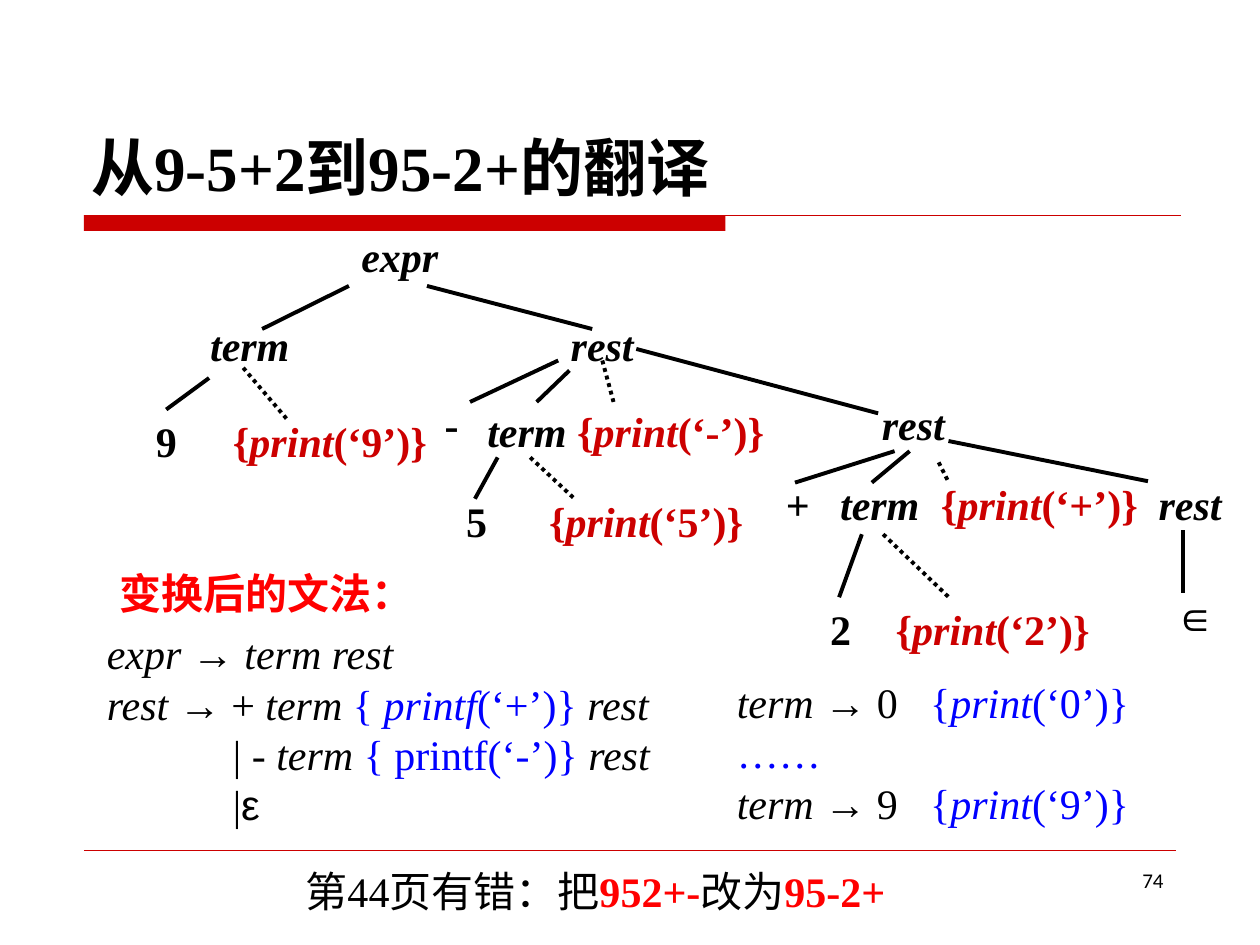
from lxml import etree
from pptx import Presentation
from pptx.dml.color import RGBColor
from pptx.enum.dml import MSO_LINE
from pptx.enum.shapes import MSO_CONNECTOR, MSO_SHAPE
from pptx.enum.text import MSO_ANCHOR, MSO_AUTO_SIZE, PP_ALIGN
from pptx.oxml.ns import qn
from pptx.util import Pt

LEFT, CENTER, RIGHT = PP_ALIGN.LEFT, PP_ALIGN.CENTER, PP_ALIGN.RIGHT
TOP, BOTTOM = MSO_ANCHOR.TOP, MSO_ANCHOR.BOTTOM
STRAIGHT, RECTANGLE = MSO_CONNECTOR.STRAIGHT, MSO_SHAPE.RECTANGLE
DOTTED = MSO_LINE.ROUND_DOT
SERIF, SANS, CJK = "Times New Roman", "Arial", "Noto Sans CJK SC"
BLACK, DARK_RED, RED, BLUE = "000000", "CC0000", "FF0000", "0000FF"

# Content: a run is (text, colour, italic[, font])
ARROW = ("→", BLACK, False, SANS)


def plain(text, color=BLACK):
    return (text, color, False)


def italic(text, color=BLACK):
    return (text, color, True)


def action(symbol, color=DARK_RED, name="print"):
    return [plain("{", color), italic(name, color), plain(f"(‘{symbol}’)}}", color)]


def digit_rule(digit):
    return [italic("term "), ARROW, plain(f" {digit}\t")] + action(digit, BLUE)


TITLE = "从9-5+2到95-2+的翻译"
PAGE = "74"
HEADING = [plain("变换后的文法：", RED)]

# Tree nodes: left, top, runs
NODES = [
    (199.4, 128.2, [italic("expr")]),
    (113, 179.3, [italic("term")]),
    (319, 179.3, [italic("rest")]),
    (82, 234, [plain("9")]),
    (126, 234, action("9")),
    (247, 224, [plain("-")]),
    (271.4, 228.2, [italic("term ")] + action("-")),
    (496.8, 224, [italic("rest")]),
    (259.2, 279.4, [plain("5")]),
    (306.7, 279.4, action("5")),
    (442, 270, [plain("+")]),
    (473, 270, [italic("term")]),
    (530.6, 270, action("+")),
    (655, 270, [italic("rest")]),
    (467.3, 341.3, [plain("2")]),
    (504.7, 341.3, action("2")),
    (664, 333.4, [("∈", BLACK, False, SANS)]),
]

# Tree edges: x1, y1, x2, y2
BRANCHES = [
    (199.4, 163.4, 149.8, 188), (244, 163.4, 338.4, 188),
    (119.5, 216, 95, 234), (319, 206, 268.6, 229.7),
    (325.4, 211.7, 306.7, 229.7), (363.6, 199.4, 501.8, 236.2),
    (284.4, 261.4, 271.4, 285), (511.2, 257.8, 454.3, 275.8),
    (519.8, 257.8, 498.2, 275.8), (542, 252, 656, 275),
    (492.5, 305.3, 479.5, 341.3), (676, 303, 676, 339),
]
ACTION_BRANCHES = [
    (139, 210.2, 164.2, 239.8), (344.2, 206, 350.6, 229.7),
    (303, 261.4, 328.3, 285), (536.4, 264.2, 542.2, 275.8),
    (504.7, 305.3, 542.2, 341.3),
]

GRAMMAR = [
    [italic("expr "), ARROW, italic(" term rest")],
    [italic("rest "), ARROW, plain(" + "), italic("term "), plain("{ ", BLUE),
     italic("printf", BLUE), plain("(‘+’)} ", BLUE), italic("rest")],
    [plain("\t| - "), italic("term "), plain("{ printf(‘-’)} ", BLUE), italic("rest")],
    [plain("\t|"), ("ε", BLACK, False, SANS)],
]
DIGIT_RULES = [digit_rule(0), [plain("……", BLUE)], digit_rule(9)]


def rgb(value):
    return RGBColor.from_string(value)


def add_text(slide, box, paragraphs, size=24, font=SERIF, bold=False,
             align=LEFT, anchor=TOP, wrap=True, tab=None):
    frame = slide.shapes.add_textbox(*map(Pt, box)).text_frame
    frame.word_wrap = wrap
    frame.vertical_anchor = anchor
    for index, runs in enumerate(paragraphs):
        paragraph = frame.paragraphs[0] if index == 0 else frame.add_paragraph()
        paragraph.alignment = align
        if tab:
            stops = etree.SubElement(paragraph._p.get_or_add_pPr(), qn("a:tabLst"))
            etree.SubElement(stops, qn("a:tab"), pos=str(Pt(tab)), algn="l")
        paragraph.font.size = Pt(size)
        paragraph.font.name = font
        paragraph.font.bold = bold
        for text, color, slanted, *own_font in runs:
            run = paragraph.add_run()
            run.text = text
            run.font.color.rgb = rgb(color)
            run.font.italic = slanted
            if own_font:
                run.font.name = own_font[0]
    return frame


def add_line(slide, ends, color=BLACK, width=2.25, dash=None):
    line = slide.shapes.add_connector(STRAIGHT, *map(Pt, ends))
    line.line.color.rgb = rgb(color)
    line.line.width = Pt(width)
    if dash:
        line.line.dash_style = dash
    etree.SubElement(line._element.spPr, qn("a:effectLst"))


def main():
    deck = Presentation()
    deck.slide_width, deck.slide_height = Pt(720), Pt(540)
    slide = deck.slides.add_slide(deck.slide_layouts[5])

    # Title with its rule, and the footer rule
    title = slide.shapes.title
    title.left, title.top, title.width, title.height = map(Pt, (45, 24, 630, 96))
    title.text_frame.text = TITLE
    title.text_frame.vertical_anchor = BOTTOM
    title.text_frame.auto_size = MSO_AUTO_SIZE.NONE
    heading = title.text_frame.paragraphs[0]
    heading.alignment = LEFT
    heading.font.size = Pt(36)
    heading.font.name = SERIF
    heading.font.bold = True
    heading.font.color.rgb = rgb(BLACK)

    band = slide.shapes.add_shape(RECTANGLE, Pt(48), Pt(123), Pt(366.5), Pt(9))
    band.shadow.inherit = False
    band.fill.solid()
    band.fill.fore_color.rgb = rgb(DARK_RED)
    band.line.fill.background()
    add_line(slide, (48, 123, 675, 123), DARK_RED, 0.75)
    add_line(slide, (48, 486, 672, 486), DARK_RED, 0.25)

    # Parse tree
    for left, top, runs in NODES:
        add_text(slide, (left, top, 182, 36), [runs], bold=True, wrap=False)
    for ends in BRANCHES:
        add_line(slide, ends)
    for ends in ACTION_BRANCHES:
        add_line(slide, ends, dash=DOTTED)

    # Transformed grammar
    add_text(slide, (49, 321, 182, 36), [HEADING], font=CJK, bold=True,
             align=CENTER, wrap=False)
    add_text(slide, (54, 355, 343, 122.4), GRAMMAR, anchor=BOTTOM, tab=72)
    add_text(slide, (414, 383, 261, 93.6), DIGIT_RULES, anchor=BOTTOM, tab=110.5)

    # Correction note and page number
    note = add_text(slide, (0, 491, 680.4, 36), [[
        plain("第44页有错：把"), plain("952+-", RED), plain("改为"), plain("95-2+", RED),
    ]], align=CENTER)
    for run in note.paragraphs[0].runs[1::2]:
        run.font.bold = True
    add_text(slide, (516, 492, 156, 37.5), [[plain(PAGE)]], size=12,
             font="Calibri", align=RIGHT)

    deck.save("out.pptx")


if __name__ == "__main__":
    main()
